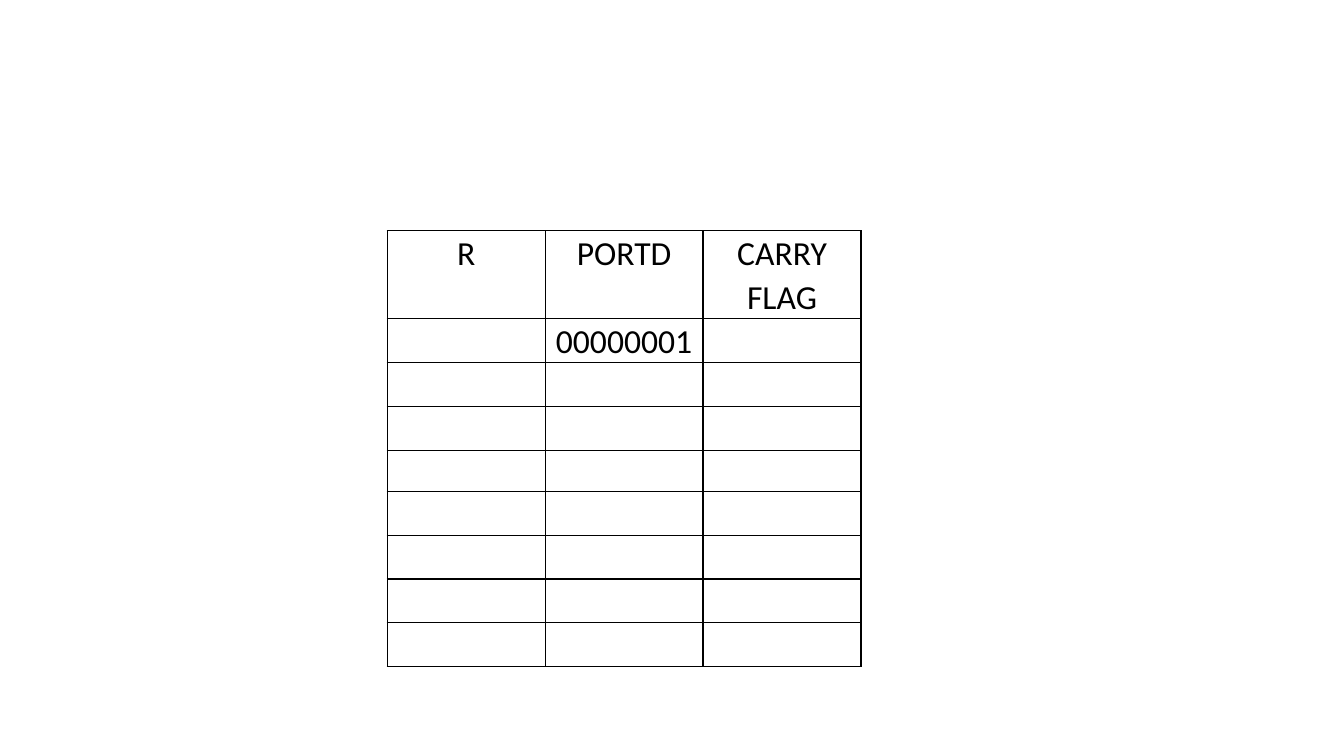
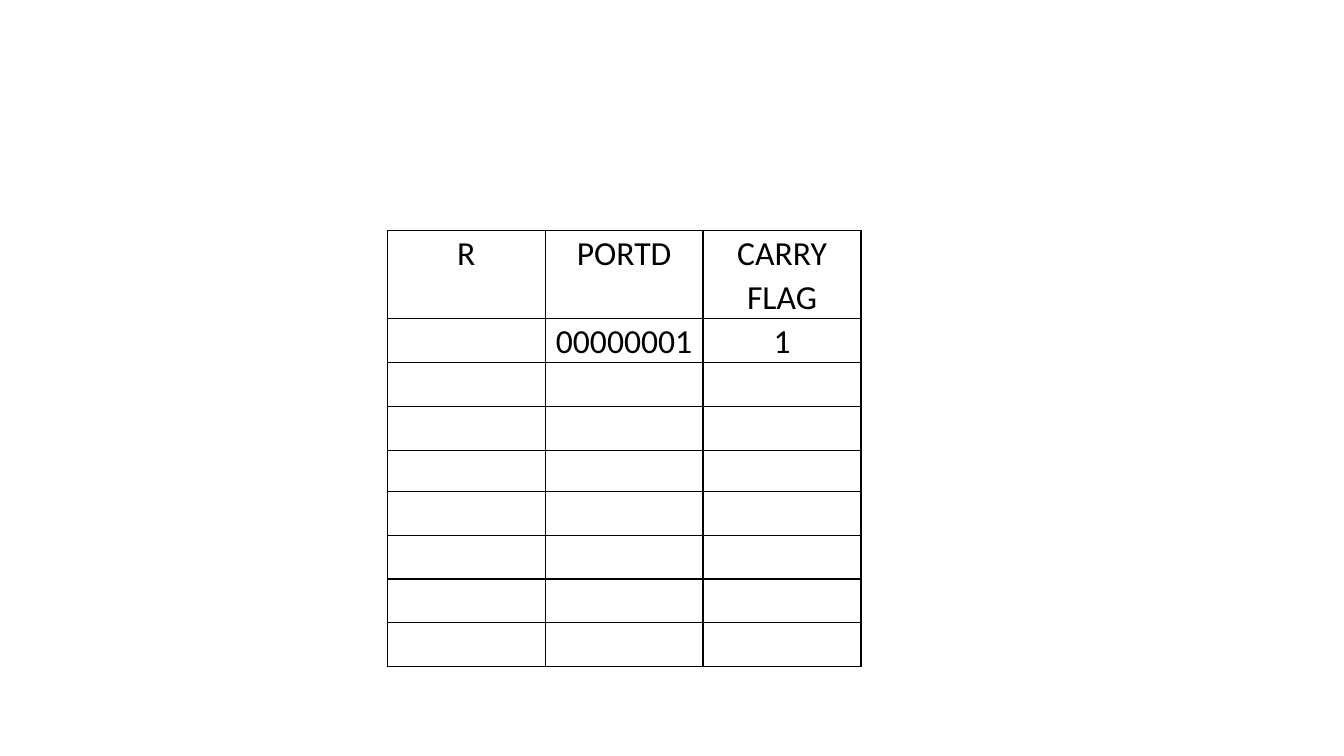
from lxml.etree import SubElement
from pptx import Presentation
from pptx.dml.color import RGBColor
from pptx.enum.text import PP_ALIGN
from pptx.oxml.ns import qn
from pptx.util import Inches, Pt

BLACK = RGBColor(0x00, 0x00, 0x00)
FONT = "Calibri"
HEADINGS = ("R", "PORTD", "CARRY FLAG")
TABLE_BOX = (Inches(3.84), Inches(2.29), Inches(4.7))
HEADER_HEIGHT = Inches(0.87)
ROW_HEIGHT = HEADER_HEIGHT // 2
SHORT_ROW, SHORT_HEIGHT = 4, Inches(0.41)
ROW_COUNT = 9


def add_borders(cell):
    properties = cell._tc.get_or_add_tcPr()
    for side in ("lnL", "lnR", "lnT", "lnB"):
        line = SubElement(properties, qn(f"a:{side}"), w=str(Pt(1)))
        fill = SubElement(line, qn("a:solidFill"))
        SubElement(fill, qn("a:srgbClr"), val=str(BLACK))


def format_cell(cell, text):
    cell.margin_left = cell.margin_right = Inches(0.07)
    cell.margin_top = cell.margin_bottom = 0
    add_borders(cell)
    cell.fill.background()
    para = cell.text_frame.paragraphs[0]
    if text:
        para.text = text
    para.alignment = PP_ALIGN.CENTER
    para.line_spacing = 1.07
    para.space_after = Pt(8)
    para.font.name = FONT
    para.font.size = Pt(24)
    para.font.color.rgb = BLACK


def row_height(index):
    if index == 0:
        return HEADER_HEIGHT
    return SHORT_HEIGHT if index == SHORT_ROW else ROW_HEIGHT


def add_register_table(page, box, first_values):
    """Draw the trace table with only its headings and first step filled in."""
    left, top, width = box
    heights = [row_height(index) for index in range(ROW_COUNT)]
    table = page.shapes.add_table(
        ROW_COUNT, len(HEADINGS), left, top, width, sum(heights)).table
    table.first_row = table.horz_banding = False
    for column in table.columns:
        column.width = width // len(HEADINGS)
    for row, height in zip(table.rows, heights):
        row.height = height
    texts = [HEADINGS, first_values] + [("", "", "")] * (ROW_COUNT - 2)
    for row, row_texts in zip(table.rows, texts):
        for cell, text in zip(row.cells, row_texts):
            format_cell(cell, text)


def main():
    deck = Presentation()
    deck.slide_width, deck.slide_height = Inches(13.33), Inches(7.5)
    for carry in ("", "1"):
        page = deck.slides.add_slide(deck.slide_layouts[6])
        add_register_table(page, TABLE_BOX, ("", "00000001", carry))
    deck.save("out.pptx")


if __name__ == "__main__":
    main()
